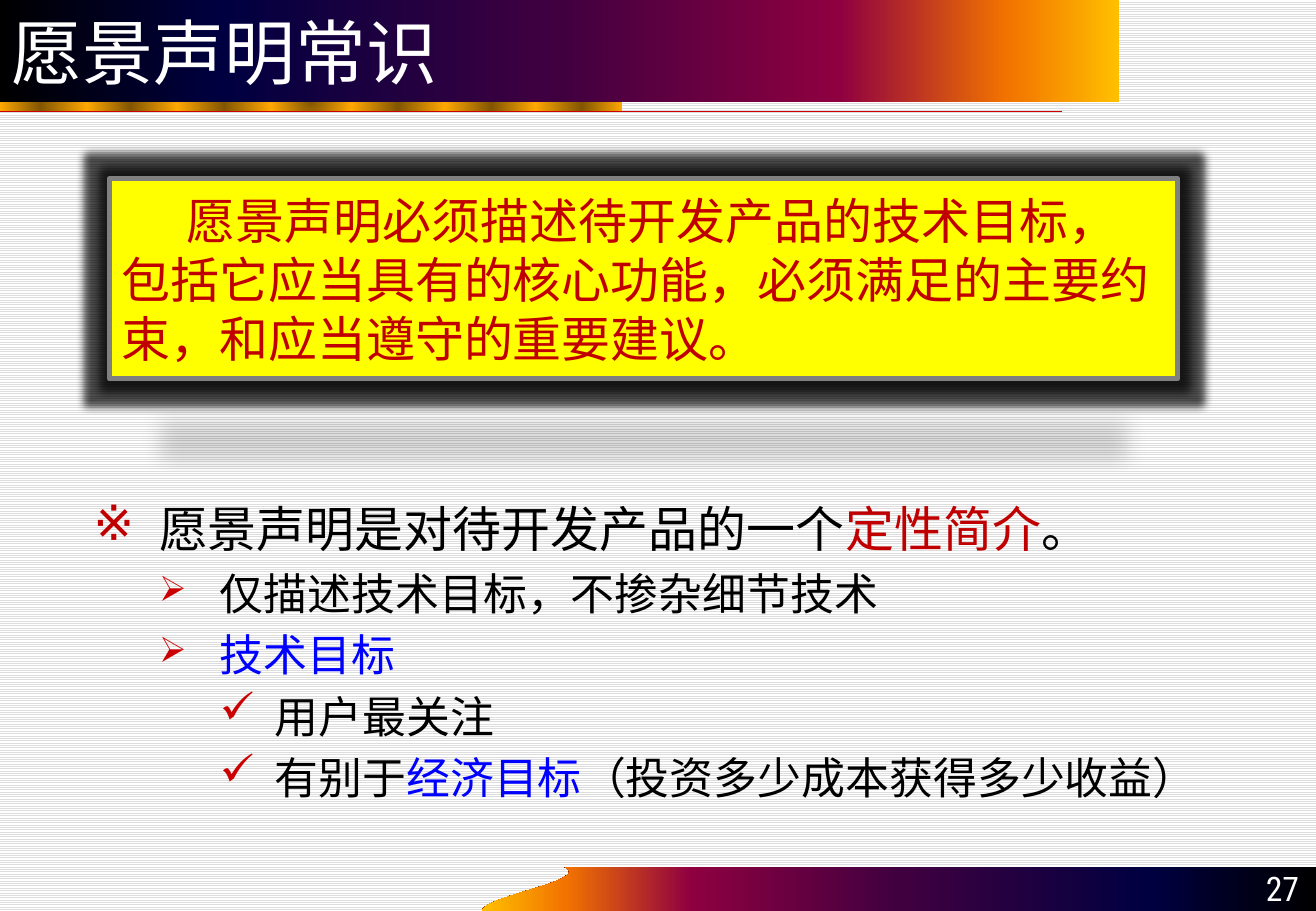
from dataclasses import dataclass

from lxml import etree
from pptx import Presentation
from pptx.dml.color import RGBColor
from pptx.enum.dml import MSO_PATTERN
from pptx.enum.shapes import MSO_CONNECTOR, MSO_SHAPE
from pptx.enum.text import MSO_ANCHOR, PP_ALIGN
from pptx.oxml import parse_xml
from pptx.oxml.ns import nsdecls, qn
from pptx.util import Inches, Pt

LIGHT_LINES = MSO_PATTERN.LIGHT_HORIZONTAL
STRAIGHT = MSO_CONNECTOR.STRAIGHT
RECTANGLE = MSO_SHAPE.RECTANGLE
TOP, MIDDLE, BOTTOM = MSO_ANCHOR.TOP, MSO_ANCHOR.MIDDLE, MSO_ANCHOR.BOTTOM
LEFT, RIGHT = PP_ALIGN.LEFT, PP_ALIGN.RIGHT


@dataclass(frozen=True)
class Theme:
    """Colours, fonts and type sizes of the slide."""
    white: str = "FFFFFF"
    black: str = "000000"
    stripe: str = "DDDDDD"
    red: str = "C00000"
    bright_red: str = "CC0000"
    blue: str = "0000FF"
    yellow: str = "FFFF00"
    grey: str = "808080"
    sunset: tuple = ((0, "000000"), (20, "000040"), (50, "400040"),
                     (75, "8F0040"), (90, "F27300"), (100, "FFBF00"))
    gold: tuple = tuple(zip((0, 13, 28, 43, 58, 72, 87, 100), ("825600", "FFA800") * 4))
    title_font: str = "DejaVu Sans"
    body_font: str = "Noto Sans CJK SC"
    number_font: str = "Roboto Condensed"
    title_size: int = 42
    lead_size: int = 29
    detail_size: int = 26
    number_size: int = 20


THEME = Theme()
LEVELS = (
    (0.54, 0.54, "※", 100, THEME.red, THEME.lead_size),
    (1.04, 0.5, "➢", 80, THEME.bright_red, THEME.detail_size),
    (1.49, 0.45, "✓", 100, THEME.bright_red, THEME.detail_size),
)
POINTS = (
    (0, (("愿景声明是对待开发产品的一个", THEME.black), ("定性简介", THEME.red), ("。", THEME.black))),
    (1, (("仅描述技术目标，不掺杂细节技术", THEME.black),)),
    (1, (("技术目标", THEME.blue),)),
    (2, (("用户最关注", THEME.black),)),
    (2, (("有别于", THEME.black), ("经济目标", THEME.blue),
         ("（投资多少成本获得多少收益）", THEME.black))),
)


def rgb(value):
    """Return a colour from its hex digits."""
    return RGBColor.from_string(value)


def inches(box):
    """Turn left, top, width and height into lengths."""
    return [Inches(value) for value in box]


def paint_gradient(shape, stops, direction):
    """Fill a shape with gradient stops along the given direction XML."""
    shape.shadow.inherit = False
    shape.line.fill.background()
    marks = "".join(f'<a:gs pos="{pos * 1000}"><a:srgbClr val="{color}"/></a:gs>'
                    for pos, color in stops)
    gradient = parse_xml(f'<a:gradFill {nsdecls("a")} rotWithShape="1">'
                         f'<a:gsLst>{marks}</a:gsLst>{direction}</a:gradFill>')
    shape._element.spPr.find(qn("a:ln")).addprevious(gradient)


def set_frame(shape, anchor):
    """Prepare a wrapping text frame and return it."""
    frame = shape.text_frame
    frame.word_wrap = True
    frame.vertical_anchor = anchor
    return frame


def add_run(paragraph, text, font, size, color):
    """Add one styled run, with its font for both scripts."""
    run = paragraph.add_run()
    run.text = text
    run.font.name = font
    run.font.size = Pt(size)
    run.font.color.rgb = rgb(color)
    east_asian = etree.SubElement(run._r.get_or_add_rPr(), qn("a:ea"))
    east_asian.set("typeface", font)


def add_header(slide, box):
    """Draw the title banner, the gold strip and the red rule."""
    left, top, width, height = box
    strip = slide.shapes.add_shape(RECTANGLE, *inches((left, top + 0.76, 5.12, 0.16)))
    paint_gradient(strip, THEME.gold,
                   '<a:path path="circle"><a:fillToRect l="50000" t="50000" r="50000" b="50000"/></a:path>')
    rule_y = top + height
    rule = slide.shapes.add_connector(STRAIGHT, *inches((left, rule_y, left + 8.74, rule_y)))
    rule.line.color.rgb = rgb(THEME.bright_red)
    rule.line.width = Pt(0.75)
    etree.SubElement(rule._element.spPr, qn("a:effectLst"))
    banner = slide.shapes.add_shape(RECTANGLE, *inches((left, top, width, 0.84)))
    paint_gradient(banner, THEME.sunset, '<a:lin ang="0" scaled="1"/>')
    title = set_frame(banner, MIDDLE).paragraphs[0]
    title.alignment = LEFT
    add_run(title, "愿景声明常识", THEME.title_font, THEME.title_size, THEME.white)


def add_statement(slide, box):
    """Draw the framed statement with its glow and cast shadow."""
    panel = slide.shapes.add_shape(RECTANGLE, *inches(box))
    panel.shadow.inherit = False
    panel.fill.solid()
    panel.fill.fore_color.rgb = rgb(THEME.yellow)
    panel.line.color.rgb = rgb(THEME.grey)
    panel.line.width = Pt(3)
    effects = panel._element.spPr.find(qn("a:effectLst"))
    effects.append(parse_xml(
        f'<a:glow {nsdecls("a")} rad="{Pt(10)}"><a:srgbClr val="{THEME.black}">'
        '<a:alpha val="70000"/></a:srgbClr></a:glow>'))
    effects.append(parse_xml(
        f'<a:outerShdw {nsdecls("a")} blurRad="{Pt(12)}" dist="{Pt(25)}" dir="5400000" '
        f'sx="90000" sy="-19000" rotWithShape="0"><a:srgbClr val="{THEME.black}">'
        '<a:alpha val="15000"/></a:srgbClr></a:outerShdw>'))
    statement = set_frame(panel, MIDDLE).paragraphs[0]
    statement.alignment = LEFT
    statement._p.get_or_add_pPr().set("indent", str(Inches(0.54)))
    add_run(statement, "愿景声明必须描述待开发产品的技术目标，包括它应当具有的核心功能，"
            "必须满足的主要约束，和应当遵守的重要建议。",
            THEME.body_font, THEME.lead_size, THEME.red)


def add_points(slide, box):
    """Write the bulleted points on three levels."""
    frame = set_frame(slide.shapes.add_textbox(*inches(box)), TOP)
    for index, (level, pieces) in enumerate(POINTS):
        margin, hang, mark, scale, mark_color, size = LEVELS[level]
        point = frame.paragraphs[0] if index == 0 else frame.add_paragraph()
        point.level = level
        if index:
            point.space_before = Pt(round(size * 0.2, 1))
        properties = point._p.get_or_add_pPr()
        properties.set("marL", str(Inches(margin)))
        properties.set("indent", str(-Inches(hang)))
        for bullet in (f'<a:buClr {nsdecls("a")}><a:srgbClr val="{mark_color}"/></a:buClr>',
                       f'<a:buSzPct {nsdecls("a")} val="{scale * 1000}"/>',
                       f'<a:buChar {nsdecls("a")} char="{mark}"/>'):
            properties.append(parse_xml(bullet))
        for text, color in pieces:
            add_run(point, text, THEME.body_font, size, color)


def add_footer(slide, box):
    """Draw the swept footer band and the page number."""
    left, top, width, height = box
    sweep = []
    for step in range(24, 0, -1):
        t = step / 24
        x = 0.68 * (1 - t) ** 3 + 2.7 * t * (1 - t) ** 2
        y = height * (0.92 * t * (1 - t) ** 2 + 2 * t * t * (1 - t) + t ** 3)
        sweep.append((x, y))
    outline = [(width, 0), (width, height)] + sweep
    builder = slide.shapes.build_freeform(Inches(left + 0.68), Inches(top))
    builder.add_line_segments([(Inches(left + x), Inches(top + y)) for x, y in outline])
    band = builder.convert_to_shape()
    paint_gradient(band, THEME.sunset, '<a:lin ang="10800000" scaled="1"/>')
    number_box = slide.shapes.add_textbox(*inches((left + width - 1, top - 0.01, 0.96, 0.4)))
    number = set_frame(number_box, BOTTOM).paragraphs[0]
    number.alignment = RIGHT
    add_run(number, "27", THEME.number_font, THEME.number_size, THEME.white)


def main():
    """Build the slide and save it."""
    deck = Presentation()
    deck.slide_width, deck.slide_height = Inches(10.83), Inches(7.5)
    slide = deck.slides.add_slide(deck.slide_layouts[6])
    backdrop = slide.background.fill
    backdrop.patterned()
    backdrop.pattern = LIGHT_LINES
    backdrop.fore_color.rgb = rgb(THEME.stripe)
    backdrop.back_color.rgb = rgb(THEME.white)
    add_footer(slide, (3.97, 7.14, 6.86, 0.36))
    add_header(slide, (0, 0, 9.21, 0.92))
    add_points(slide, (0.67, 4.06, 9.48, 3.07))
    add_statement(slide, (0.9, 1.47, 8.79, 1.65))
    deck.save("out.pptx")


if __name__ == "__main__":
    main()
